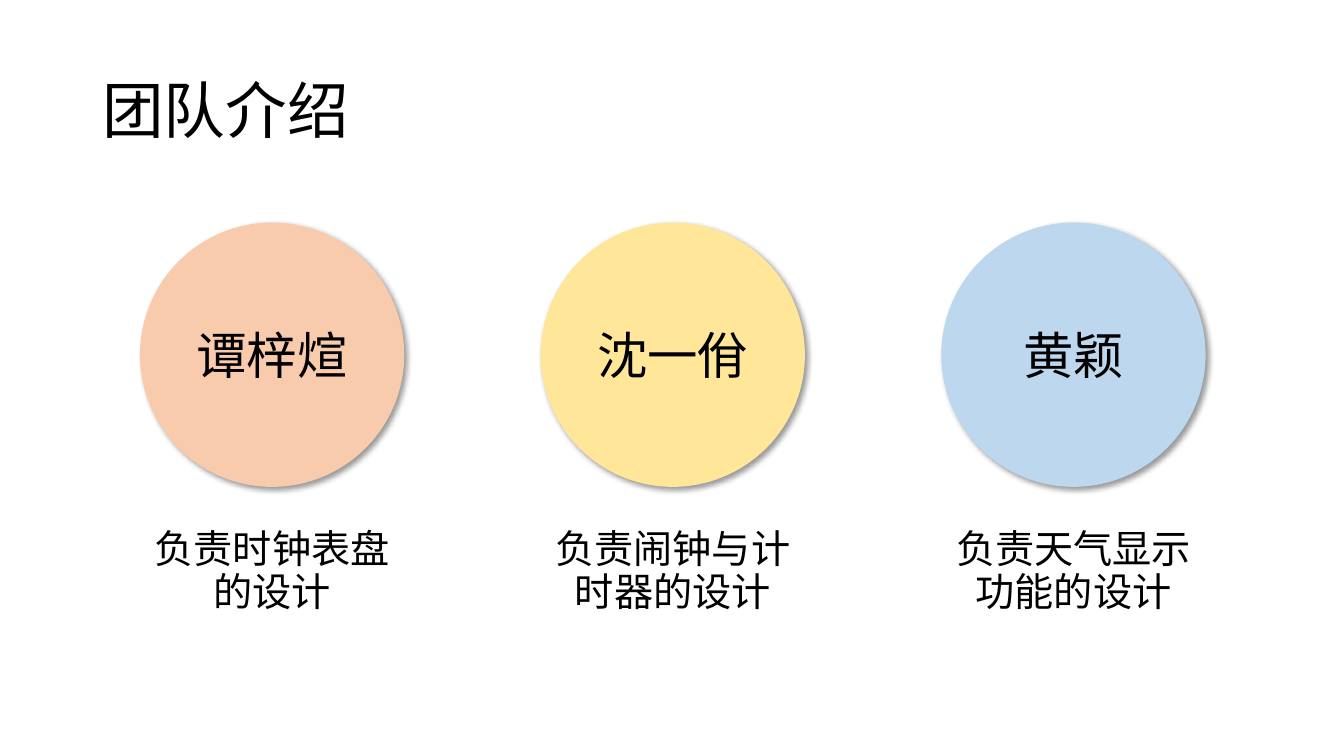
from dataclasses import dataclass

from lxml import etree
from pptx import Presentation
from pptx.dml.color import RGBColor
from pptx.enum.shapes import MSO_SHAPE
from pptx.enum.text import MSO_ANCHOR, PP_ALIGN
from pptx.oxml.ns import qn
from pptx.util import Pt

OVAL = MSO_SHAPE.OVAL
TOP, MIDDLE = MSO_ANCHOR.TOP, MSO_ANCHOR.MIDDLE
LEFT, CENTER = PP_ALIGN.LEFT, PP_ALIGN.CENTER

FONT = "Noto Sans CJK SC"
COLORS = {"text": "000000", "orange": "F8CBAD", "yellow": "FFE699", "blue": "BDD7EE"}

# Column grid, in points
FIRST_LEFT, PITCH, DIAMETER = 100, 286.2, 188.8
CIRCLE_TOP, DUTY_TOP, DUTY_HEIGHT = 159, 375, 120

# Paragraph formats
TITLE = {"alignment": LEFT, "line_spacing": 0.9}
NAME = {"alignment": CENTER}
DUTY = {"alignment": CENTER, "line_spacing": 0.9, "space_before": Pt(10)}


@dataclass
class Member:
    name: str
    duty: str
    color: str


MEMBERS = [
    Member("谭梓煊", "负责时钟表盘的设计", "orange"),
    Member("沈一佾", "负责闹钟与计时器的设计", "yellow"),
    Member("黄颖", "负责天气显示功能的设计", "blue"),
]


def write(sp, text: str, size: float, anchor, paragraph_format: dict) -> None:
    tf = sp.text_frame
    tf.word_wrap = True
    tf.vertical_anchor = anchor
    p = tf.paragraphs[0]
    for key, value in paragraph_format.items():
        setattr(p, key, value)
    r = p.add_run()
    r.text = text
    for key, value in {"size": Pt(size), "name": FONT}.items():
        setattr(r.font, key, value)
    r.font.color.rgb = RGBColor.from_string(COLORS["text"])
    # East Asian typeface
    etree.SubElement(r._r.get_or_add_rPr(), qn("a:ea"), typeface=FONT)


def add_text(s, left: float, top: float, width: float, height: float,
             text: str, size: float, anchor, paragraph_format: dict) -> None:
    sp = s.shapes.add_textbox(Pt(left), Pt(top), Pt(width), Pt(height))
    write(sp, text, size, anchor, paragraph_format)


def add_shadow(sp) -> None:
    sp.shadow.inherit = False
    effects = sp._element.spPr.find(qn("a:effectLst"))
    shadow = etree.SubElement(effects, qn("a:outerShdw"), blurRad=str(Pt(4)),
                              dist=str(Pt(3)), dir=str(45 * 60000),
                              algn="tl", rotWithShape="0")
    color = etree.SubElement(shadow, qn("a:srgbClr"), val=COLORS["text"])
    etree.SubElement(color, qn("a:alpha"), val="40000")


def add_circle(s, left: float, member: Member) -> None:
    sp = s.shapes.add_shape(OVAL, Pt(left), Pt(CIRCLE_TOP), Pt(DIAMETER), Pt(DIAMETER))
    sp.fill.solid()
    sp.fill.fore_color.rgb = RGBColor.from_string(COLORS[member.color])
    sp.line.fill.background()
    add_shadow(sp)
    write(sp, member.name, 36, MIDDLE, NAME)


prs = Presentation()
prs.slide_width, prs.slide_height = Pt(960), Pt(540)
s = prs.slides.add_slide(prs.slide_layouts[6])

# Title
add_text(s, 66, 28.8, 828, 104.4, "团队介绍", 44, MIDDLE, TITLE)

# Team members with their duties
for i, member in enumerate(MEMBERS):
    left = FIRST_LEFT + i * PITCH
    add_circle(s, left, member)
    add_text(s, left, DUTY_TOP, DIAMETER, DUTY_HEIGHT, member.duty, 28, TOP, DUTY)

prs.save("out.pptx")
